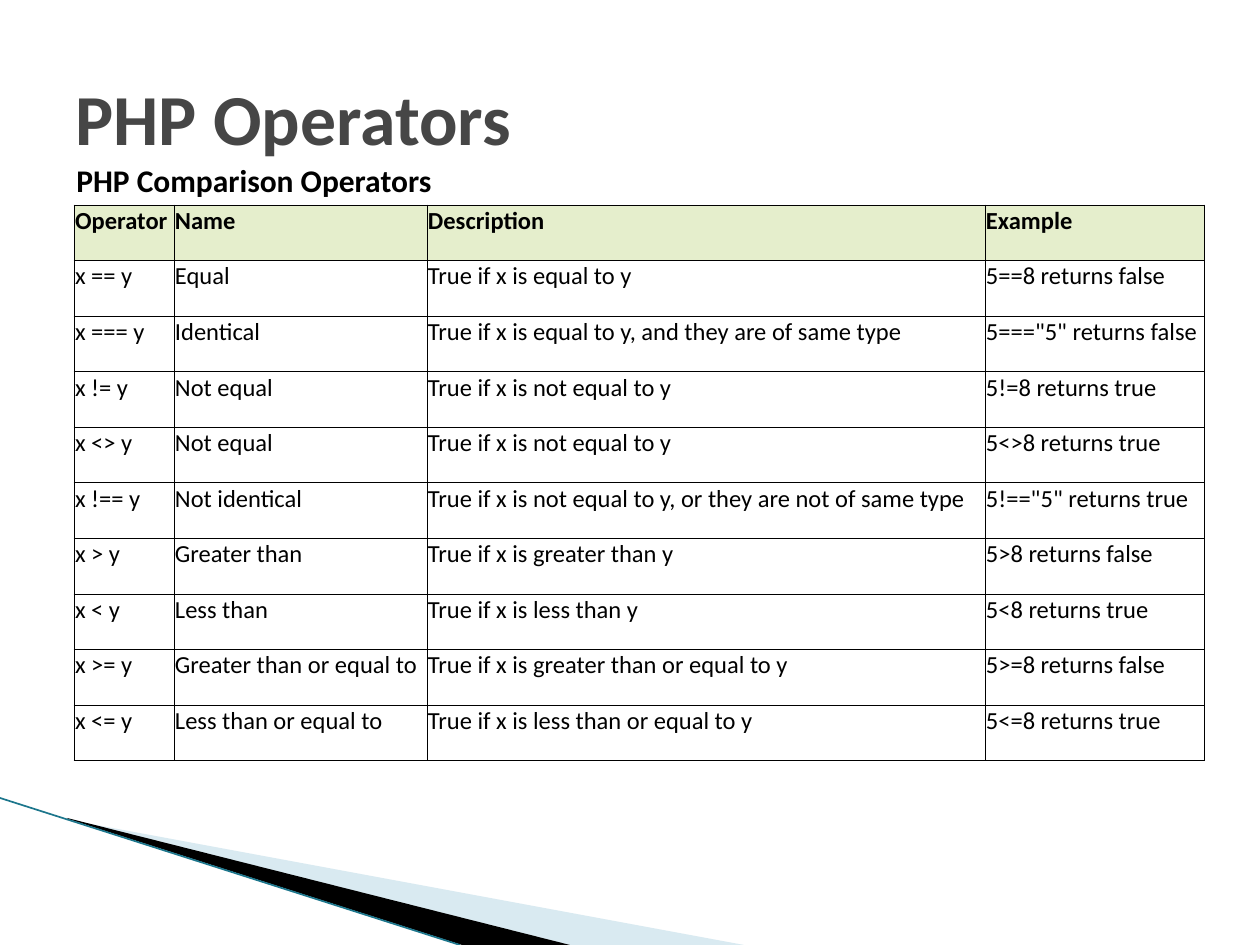
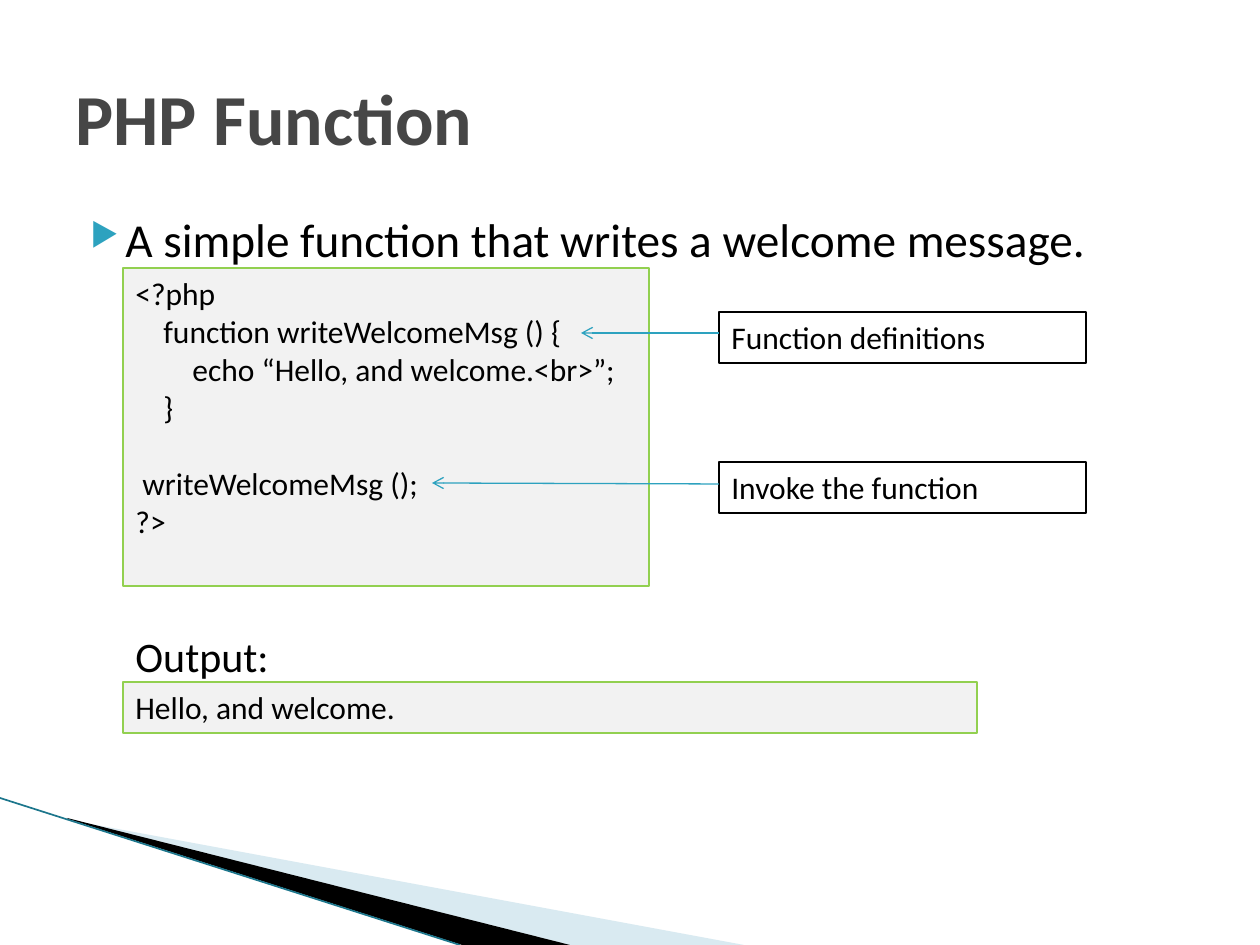
"""Builds two slides on PHP operators and functions."""
from dataclasses import dataclass
from typing import Optional

from lxml import etree
from pptx import Presentation
from pptx import util as u
from pptx.dml.color import RGBColor
from pptx.enum import shapes, text
from pptx.oxml.ns import qn

SCALE = 914400 / 126
FONT = "Calibri"
BLACK, WHITE, TITLE_GREY = "000000", "FFFFFF", "464646"
ACCENT, PALE_BLUE, DEEP_TEAL = "2DA2BF", "A0CBDC", "1C768C"
CODE_FILL, CODE_BORDER, HEADER_FILL = "F2F2F2", "92D050", "E5EECC"


@dataclass(frozen=True)
class Area:
    left: int
    top: int
    width: int
    height: int

    def emu(self) -> tuple:
        return tuple(px(side) for side in (self.left, self.top, self.width, self.height))


@dataclass(frozen=True)
class Line:
    content: str
    indent: int = 0
    before: int = 0


@dataclass(frozen=True)
class Panel:
    area: Area
    lines: tuple
    border: str
    fill: Optional[str] = None


@dataclass(frozen=True)
class Wedge:
    points: tuple
    color: str
    opacity: int = 100


@dataclass(frozen=True)
class Stroke:
    start: tuple
    end: tuple
    color: str
    weight: float
    arrow: bool = False


WEDGES = (
    Wedge(((69, 820), (744, 945), (570, 945), (69, 819)), PALE_BLUE, 40),
    Wedge(((67, 818), (570, 945), (462, 945), (68, 819)), BLACK),
)
EDGE = Stroke((0, 798), (460, 945), DEEP_TEAL, 0.95)
TITLE_AREA = Area(63, 38, 1134, 158)

COLUMN_WIDTHS = (100, 253, 558, 220)
OPERATORS = (
    ("Operator", "Name", "Description", "Example"),
    ("x == y", "Equal", "True if x is equal to y", "5==8 returns false"),
    ("x === y", "Identical", "True if x is equal to y, and they are of same type",
     '5==="5" returns false'),
    ("x != y", "Not equal", "True if x is not equal to y", "5!=8 returns true"),
    ("x <> y", "Not equal", "True if x is not equal to y", "5<>8 returns true"),
    ("x !== y", "Not identical", "True if x is not equal to y, or they are not of same type",
     '5!=="5" returns true'),
    ("x > y", "Greater than", "True if x is greater than y", "5>8 returns false"),
    ("x < y", "Less than", "True if x is less than y", "5<8 returns true"),
    ("x >= y", "Greater than or equal to", "True if x is greater than or equal to y",
     "5>=8 returns false"),
    ("x <= y", "Less than or equal to", "True if x is less than or equal to y",
     "5<=8 returns true"),
)

CODE = (
    Line("<?php"),
    Line("function writeWelcomeMsg () {", indent=28),
    Line("echo “Hello, and welcome.<br>”;", indent=57),
    Line("}", indent=28),
    Line("writeWelcomeMsg ();", indent=7, before=22),
    Line("?>"),
)
PANELS = (
    Panel(Area(123, 268, 526, 318), CODE, CODE_BORDER, CODE_FILL),
    Panel(Area(719, 312, 367, 51), (Line("Function definitions"),), BLACK),
    Panel(Area(719, 462, 367, 51), (Line("Invoke the function"),), BLACK),
    Panel(Area(123, 682, 854, 51), (Line("Hello, and welcome."),), CODE_BORDER, CODE_FILL),
)
POINTERS = (
    Stroke((719, 333), (581, 333), ACCENT, 0.75, arrow=True),
    Stroke((719, 484), (432, 483), ACCENT, 0.75, arrow=True),
)


def px(length: float) -> int:
    return round(length * SCALE)


def rgb(code: str) -> RGBColor:
    return RGBColor.from_string(code)


def write(frame, lines, *, size: float, color: str = BLACK, bold: bool = False,
          anchor=text.MSO_ANCHOR.TOP, wrap: bool = True) -> None:
    frame.word_wrap = wrap
    frame.auto_size = text.MSO_AUTO_SIZE.NONE
    frame.vertical_anchor = anchor
    for number, line in enumerate(lines):
        paragraph = frame.paragraphs[0] if number == 0 else frame.add_paragraph()
        paragraph.alignment = text.PP_ALIGN.LEFT
        if line.before:
            paragraph.space_before = u.Pt(line.before)
        if line.indent:
            paragraph._p.get_or_add_pPr().set("marL", str(px(line.indent)))
        run = paragraph.add_run()
        run.text = line.content
        run.font.name, run.font.size, run.font.bold = FONT, u.Pt(size), bold
        run.font.color.rgb = rgb(color)


def add_label(slide, area: Area, content: str, indent: int = 0, **style):
    label = slide.shapes.add_textbox(*area.emu())
    write(label.text_frame, (Line(content, indent),), **style)
    return label


def add_bullet(paragraph, hanging: int) -> None:
    properties = paragraph._p.get_or_add_pPr()
    properties.set("indent", str(-px(hanging)))
    tint = etree.SubElement(properties, qn("a:buClr"))
    etree.SubElement(tint, qn("a:srgbClr"), val=ACCENT)
    etree.SubElement(properties, qn("a:buSzPct"), val="68000")
    etree.SubElement(properties, qn("a:buChar"), char="▶")


def add_stroke(slide, stroke: Stroke) -> None:
    ends = [px(value) for value in stroke.start + stroke.end]
    connector = slide.shapes.add_connector(shapes.MSO_CONNECTOR.STRAIGHT, *ends)
    connector.line.color.rgb = rgb(stroke.color)
    connector.line.width = u.Pt(stroke.weight)
    properties = connector._element.spPr
    if stroke.arrow:
        etree.SubElement(properties.find(qn("a:ln")), qn("a:tailEnd"), type="arrow")
    etree.SubElement(properties, qn("a:effectLst"))


def add_wedge(slide, wedge: Wedge) -> None:
    builder = slide.shapes.build_freeform(*wedge.points[0], scale=SCALE)
    builder.add_line_segments(wedge.points[1:], close=True)
    shape = builder.convert_to_shape()
    shape.shadow.inherit = False
    shape.line.fill.background()
    shape.fill.solid()
    shape.fill.fore_color.rgb = rgb(wedge.color)
    if wedge.opacity < 100:
        tint = shape._element.spPr.find(qn("a:solidFill")).find(qn("a:srgbClr"))
        etree.SubElement(tint, qn("a:alpha"), val=str(wedge.opacity * 1000))


def add_panel(slide, panel: Panel) -> None:
    box = slide.shapes.add_shape(shapes.MSO_SHAPE.RECTANGLE, *panel.area.emu())
    box.shadow.inherit = False
    box.line.color.rgb = rgb(panel.border)
    box.line.width = u.Pt(0.75)
    if panel.fill:
        box.fill.solid()
        box.fill.fore_color.rgb = rgb(panel.fill)
    else:
        box.fill.background()
    write(box.text_frame, panel.lines, size=18)


def add_borders(cell) -> None:
    properties = cell._tc.get_or_add_tcPr()
    for side in ("lnL", "lnR", "lnT", "lnB"):
        border = etree.SubElement(properties, qn(f"a:{side}"), w=str(u.Pt(0.5)))
        fill = etree.SubElement(border, qn("a:solidFill"))
        etree.SubElement(fill, qn("a:srgbClr"), val=BLACK)


def add_operator_table(slide, area: Area) -> None:
    frame = slide.shapes.add_table(len(OPERATORS), len(COLUMN_WIDTHS), *area.emu())
    table = frame.table
    table.first_row = table.horz_banding = False
    for column, width in zip(table.columns, COLUMN_WIDTHS):
        column.width = px(width)
    for row, entries in enumerate(OPERATORS):
        header = row == 0
        for column, entry in enumerate(entries):
            cell = table.cell(row, column)
            cell.margin_left = cell.margin_right = cell.margin_top = px(1)
            cell.margin_bottom = 0
            add_borders(cell)
            cell.fill.solid()
            cell.fill.fore_color.rgb = rgb(HEADER_FILL if header else WHITE)
            write(cell.text_frame, (Line(entry),), size=14, bold=header)


def add_slide(deck, heading: str):
    slide = deck.slides.add_slide(deck.slide_layouts[5])
    slide.background.fill.solid()
    slide.background.fill.fore_color.rgb = rgb(WHITE)
    for wedge in WEDGES:
        add_wedge(slide, wedge)
    add_stroke(slide, EDGE)
    title = slide.shapes.title
    title.left, title.top, title.width, title.height = TITLE_AREA.emu()
    write(title.text_frame, (Line(heading),), size=41, color=TITLE_GREY, bold=True,
          anchor=text.MSO_ANCHOR.MIDDLE)
    return slide


def build_operators(deck) -> None:
    slide = add_slide(deck, "PHP Operators")
    add_operator_table(slide, Area(74, 205, sum(COLUMN_WIDTHS), 556))
    add_label(slide, Area(64, 155, 556, 50), "PHP Comparison Operators", size=18, bold=True)


def build_function(deck) -> None:
    slide = add_slide(deck, "PHP Function")
    summary = add_label(slide, Area(63, 204, 1134, 71),
                        "A simple function that writes a welcome message.", indent=50, size=27)
    add_bullet(summary.text_frame.paragraphs[0], hanging=35)
    for panel in PANELS:
        add_panel(slide, panel)
    for pointer in POINTERS:
        add_stroke(slide, pointer)
    add_label(slide, Area(123, 624, 160, 63), "Output:", size=24, wrap=False)


def main() -> None:
    deck = Presentation()
    deck.slide_width, deck.slide_height = px(1260), px(945)
    build_operators(deck)
    build_function(deck)
    deck.save("out.pptx")


main()
